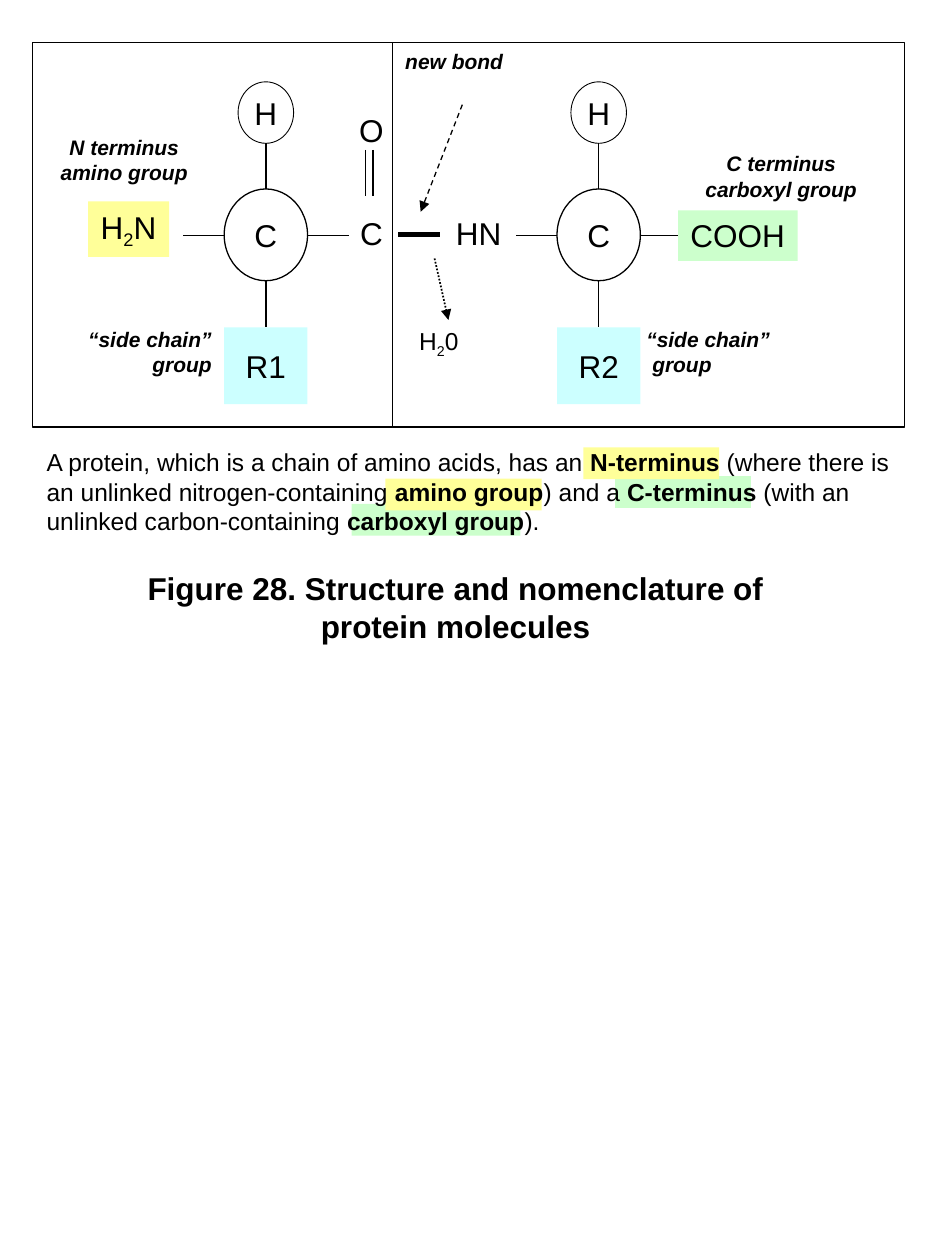
from pptx import Presentation
from pptx.dml.color import RGBColor
from pptx.enum.dml import MSO_LINE_DASH_STYLE as Dash
from pptx.enum.shapes import MSO_CONNECTOR as Conn, MSO_SHAPE as Shape
from pptx.enum.text import MSO_ANCHOR as Anchor, PP_ALIGN as Align
from pptx.oxml.ns import qn
from pptx.util import Cm, Pt
from lxml import etree

BLACK = RGBColor(0x00, 0x00, 0x00)
YELLOW = RGBColor(0xFF, 0xFF, 0x99)
GREEN = RGBColor(0xCC, 0xFF, 0xCC)
CYAN = RGBColor(0xCC, 0xFF, 0xFF)

LABEL = {"size": Pt(12), "bold": True, "italic": True}
BODY = {"size": Pt(14)}
ATOM = {"size": Pt(18)}
CAPTION = {"size": Pt(18), "bold": True}


class Figure:
    def __init__(self, slide, font="Arial"):
        self.slide = slide
        self.font = font

    def fill_text(self, sp, text, fmt, align=Align.LEFT, anchor=Anchor.TOP,
                  wrap=False, sub=False):
        """Fill sp, one paragraph a line; parts between bars are subscript or bold."""
        tf = sp.text_frame
        tf.word_wrap = wrap
        tf.vertical_anchor = anchor
        for i, line in enumerate(text.split("\n")):
            p = tf.paragraphs[0] if i == 0 else tf.add_paragraph()
            p.alignment = align
            for j, part in enumerate(line.split("|")):
                r = p.add_run()
                r.text = part
                r.font.color.rgb = BLACK
                for name, value in {"name": self.font, **fmt}.items():
                    setattr(r.font, name, value)
                if j % 2 and sub:
                    r._r.get_or_add_rPr().set("baseline", "-25000")
                elif j % 2:
                    r.font.bold = True
        return tf

    def text(self, x, y, w, h, text, fmt, **style):
        sp = self.slide.shapes.add_textbox(Cm(x), Cm(y), Cm(w), Cm(h))
        return self.fill_text(sp, text, fmt, **style)

    def shape(self, kind, x, y, w, h, fill=None, line=None):
        sp = self.slide.shapes.add_shape(kind, Cm(x), Cm(y), Cm(w), Cm(h))
        sp.shadow.inherit = False
        if fill is None:
            sp.fill.background()
        else:
            sp.fill.solid()
            sp.fill.fore_color.rgb = fill
        if line is None:
            sp.line.fill.background()
        else:
            sp.line.color.rgb = BLACK
            sp.line.width = Pt(line)
        return sp

    def atom(self, kind, cx, y, w, h, text, **style):
        """Shape centred on cx with centred text."""
        sp = self.shape(kind, cx - w / 2, y, w, h, **style)
        self.fill_text(sp, text, ATOM, Align.CENTER, Anchor.MIDDLE)

    def line(self, x1, y1, x2, y2, width=0.75, dash=None, arrow=False):
        c = self.slide.shapes.add_connector(
            Conn.STRAIGHT, Cm(x1), Cm(y1), Cm(x2), Cm(y2))
        c.line.color.rgb = BLACK
        c.line.width = Pt(width)
        if dash:
            c.line.dash_style = dash
        sp_pr = c._element.spPr
        if arrow:
            etree.SubElement(sp_pr.find(qn("a:ln")), qn("a:tailEnd"), type="triangle")
        etree.SubElement(sp_pr, qn("a:effectLst"))

    def amino_acid(self, cx, side_chain):
        """Central carbon with its hydrogen, side chain and four bonds."""
        radius, bond, mid = 0.84, 0.83, 4.75
        self.atom(Shape.OVAL, cx, 3.81, 2 * radius, 1.85, "C", line=0.75)
        self.atom(Shape.OVAL, cx, 1.65, 1.12, 1.24, "H", line=0.5)
        self.atom(Shape.RECTANGLE, cx, 6.6, 2 * radius, 1.55, side_chain, fill=CYAN)
        for edge, end in ((radius, radius + bond), (-radius, -radius - bond)):
            self.line(cx + edge, mid, cx + end, mid)
        for top, bottom in ((2.88, 3.81), (5.66, 6.6)):
            self.line(cx, top, cx, bottom)


def main():
    prs = Presentation()
    prs.slide_width, prs.slide_height = Cm(19.05), Cm(25.4)
    fig = Figure(prs.slides.add_slide(prs.slide_layouts[6]))

    # Explanation over its highlights
    for x, y, w, color in ((12.4, 9.6, 2.74, GREEN), (7.09, 10.16, 3.4, GREEN),
                           (7.77, 9.65, 3.15, YELLOW), (11.76, 9.02, 2.74, YELLOW)):
        fig.shape(Shape.RECTANGLE, x, y, w, 0.64, fill=color)
    fig.text(0.69, 8.89, 17.55, 2.03,
             "A protein, which is a chain of amino acids, has an |N-terminus |"
             "(where there is an unlinked nitrogen-containing |amino group|) and a "
             "|C-terminus| (with an unlinked carbon-containing |carboxyl group|).",
             BODY, wrap=True)

    # Frames and the two amino acids
    for x, w in ((0.66, 7.26), (7.92, 10.31)):
        fig.shape(Shape.RECTANGLE, x, 0.86, w, 7.75, line=0.75)
    for cx, side_chain in ((5.36, "R1"), (12.07, "R2")):
        fig.amino_acid(cx, side_chain)

    # Terminal groups
    for x, y, w, h, text, color in ((1.78, 4.06, 1.63, 1.12, "H|2|N", YELLOW),
                                    (13.67, 4.24, 2.41, 1.02, "COOH", GREEN)):
        sp = fig.shape(Shape.RECTANGLE, x, y, w, h, fill=color)
        fig.fill_text(sp, text, ATOM, sub=True)

    # Peptide link, carbonyl oxygen and released water
    for x, y, w, text in ((8.94, 4.19, 1.42, "HN"), (7.01, 4.19, 0.97, "C"),
                          (6.99, 2.11, 0.99, "O")):
        fig.text(x, y, w, 1.02, text, ATOM)
    fig.text(8.2, 6.45, 1.3, 0.94, "H|2|0", BODY, sub=True)
    for x in (7.37, 7.52):
        fig.line(x, 3.02, x, 3.96)
    fig.line(8.03, 4.72, 8.86, 4.72, width=3)
    fig.line(9.32, 2.11, 8.48, 4.27, dash=Dash.DASH, arrow=True)
    fig.line(8.76, 5.21, 9.04, 6.45, width=1, dash=Dash.ROUND_DOT, arrow=True)

    # Labels
    for x, y, w, h, text, align in (
            (0.97, 2.59, 3.07, 1.27, "N terminus\namino group", Align.CENTER),
            (13.95, 2.92, 3.6, 1.78, "C terminus\ncarboxyl group", Align.CENTER),
            (7.92, 0.86, 2.54, 0.76, "new bond", Align.LEFT),
            (1.47, 6.45, 3.05, 1.27, "“side chain”\ngroup", Align.RIGHT)):
        fig.text(x, y, w, h, text, LABEL, align=align, wrap=True)
    tf = fig.text(12.78, 6.45, 3.05, 1.27, "“side chain”\ngroup", LABEL, wrap=True)
    tf.paragraphs[1]._p.get_or_add_pPr().set("marL", str(Cm(0.12)))

    fig.text(2.11, 11.35, 14.15, 1.78,
             "Figure 28. Structure and nomenclature of protein molecules",
             CAPTION, align=Align.CENTER, wrap=True)

    prs.save("out.pptx")


if __name__ == "__main__":
    main()
